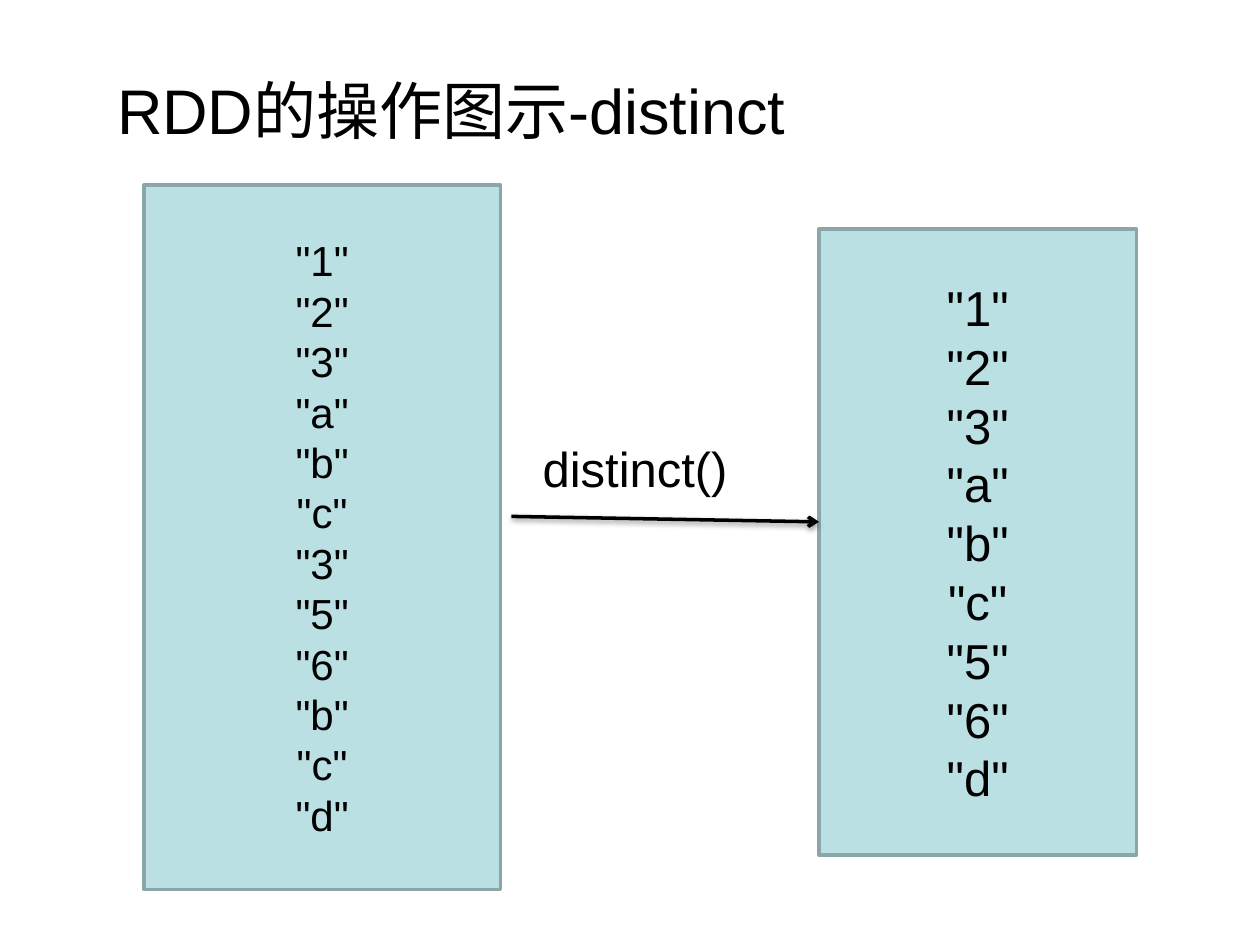
from lxml.etree import SubElement
from pptx import Presentation
from pptx.dml.color import RGBColor
from pptx.enum.shapes import MSO_CONNECTOR, MSO_SHAPE
from pptx.enum.text import MSO_ANCHOR, PP_ALIGN
from pptx.oxml import parse_xml
from pptx.oxml.ns import nsdecls, qn
from pptx.util import Cm, Pt

BLACK = RGBColor(0x00, 0x00, 0x00)
PALE_TEAL = RGBColor(0xBB, 0xE0, 0xE3)
GREY_TEAL = RGBColor(0x8A, 0xA6, 0xA8)


def style_text(frame, size):
    for paragraph in frame.paragraphs:
        for run in paragraph.runs:
            run.font.name = "Arial"
            run.font.size = Pt(size)
            run.font.color.rgb = BLACK


presentation = Presentation()
presentation.slide_width = Cm(25.4)
presentation.slide_height = Cm(19.05)
slide = presentation.slides.add_slide(presentation.slide_layouts[6])

# Title and operation label
for text, size, left, top, width, height in (
    ("RDD的操作图示-distinct", 36, 2.11, 1.32, 18.67, 1.78),
    ("distinct()", 28, 10.69, 8.71, 5.05, 1.45),
):
    caption = slide.shapes.add_textbox(Cm(left), Cm(top), Cm(width), Cm(height))
    caption.text_frame.word_wrap = True
    caption.text_frame.text = text
    style_text(caption.text_frame, size)

# Input and result datasets
for values, size, left, top, width, height in (
    ("123abc356bcd", 24, 2.9, 3.73, 7.19, 14.2),
    ("123abc56d", 28, 16.51, 4.62, 6.4, 12.62),
):
    dataset = slide.shapes.add_shape(
        MSO_SHAPE.RECTANGLE, Cm(left), Cm(top), Cm(width), Cm(height))
    dataset.shadow.inherit = False
    dataset.fill.solid()
    dataset.fill.fore_color.rgb = PALE_TEAL
    dataset.line.color.rgb = GREY_TEAL
    dataset.line.width = Pt(2)
    frame = dataset.text_frame
    frame.vertical_anchor = MSO_ANCHOR.MIDDLE
    frame.text = "\n".join(f'"{value}"' for value in values)
    style_text(frame, size)
    for paragraph in frame.paragraphs:
        paragraph.alignment = PP_ALIGN.CENTER
        paragraph.line_spacing = Pt(1.2 * size)

# Arrow from input to result, with a soft shadow
arrow = slide.shapes.add_connector(
    MSO_CONNECTOR.STRAIGHT, Cm(10.31), Cm(10.41), Cm(16.51), Cm(10.52))
arrow.line.color.rgb = BLACK
arrow.line.width = Pt(2)
SubElement(arrow.line._get_or_add_ln(), qn("a:tailEnd"), type="arrow")
arrow._element.spPr.append(parse_xml(
    f'<a:effectLst {nsdecls("a")}>'
    '<a:outerShdw blurRad="40000" dist="20000" dir="5400000" rotWithShape="0">'
    '<a:srgbClr val="000000"><a:alpha val="38000"/></a:srgbClr>'
    '</a:outerShdw></a:effectLst>'))

presentation.save("out.pptx")
